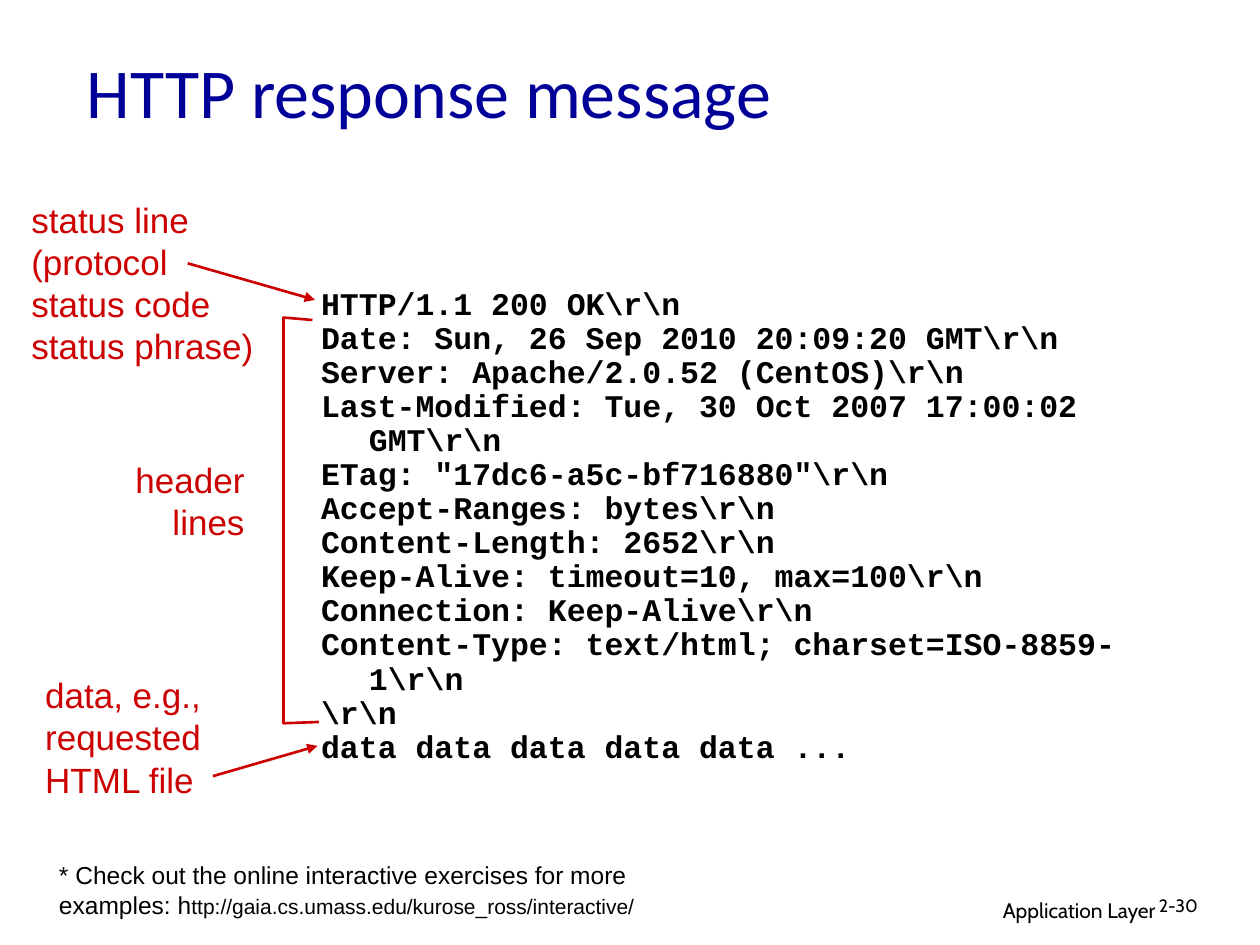
from dataclasses import dataclass
from typing import Optional

from lxml.etree import SubElement
from pptx import Presentation
from pptx.dml.color import RGBColor
from pptx.enum.shapes import MSO_CONNECTOR as Connector
from pptx.enum.text import MSO_ANCHOR as Anchor, MSO_AUTO_SIZE as AutoSize, PP_ALIGN as Align
from pptx.oxml.ns import qn
from pptx.util import Emu, Pt

PX = 9144  # EMU per px, at 100 px to the inch


@dataclass(frozen=True)
class Theme:
    title: RGBColor = RGBColor(0x00, 0x00, 0x99)
    note: RGBColor = RGBColor(0xCC, 0x00, 0x00)
    ink: RGBColor = RGBColor(0x00, 0x00, 0x00)
    title_size: float = 40
    note_size: float = 20
    code_size: float = 18
    remark_size: float = 14
    small_size: float = 12
    number_size: float = 10.2
    line_width: float = 1.5


THEME = Theme()


@dataclass(frozen=True)
class Style:
    font: str
    size: float
    color: RGBColor
    bold: bool = False
    align: Align = Align.LEFT
    line_spacing: Optional[float] = None
    hanging: int = 0


TITLE = Style("Calibri", THEME.title_size, THEME.title)
NOTE = Style("Arial", THEME.note_size, THEME.note)
NOTE_RIGHT = Style("Arial", THEME.note_size, THEME.note, align=Align.RIGHT)
CODE = Style("Courier New", THEME.code_size, THEME.ink, bold=True, line_spacing=0.9, hanging=38)
REMARK = Style("Arial", THEME.remark_size, THEME.ink)
LINK = Style("Arial", THEME.small_size, THEME.ink)
FOOTER = Style("Cabin", THEME.small_size, THEME.ink, align=Align.RIGHT)
NUMBER = Style("Cabin", THEME.number_size, THEME.ink, line_spacing=0.9)


@dataclass(frozen=True)
class TextBlock:
    left: int
    top: int
    width: int
    height: int
    style: Style
    lines: tuple[str, ...]
    wrap: bool = True
    anchor: Anchor = Anchor.TOP


@dataclass(frozen=True)
class Arrow:
    start: tuple[int, int]
    end: tuple[int, int]


RESPONSE = (
    r"HTTP/1.1 200 OK\r\n",
    r"Date: Sun, 26 Sep 2010 20:09:20 GMT\r\n",
    r"Server: Apache/2.0.52 (CentOS)\r\n",
    r"Last-Modified: Tue, 30 Oct 2007 17:00:02 GMT\r\n",
    r'ETag: "17dc6-a5c-bf716880"\r\n',
    r"Accept-Ranges: bytes\r\n",
    r"Content-Length: 2652\r\n",
    r"Keep-Alive: timeout=10, max=100\r\n",
    r"Connection: Keep-Alive\r\n",
    r"Content-Type: text/html; charset=ISO-8859-1\r\n",
    r"\r\n",
    "data data data data data ...",
)

BLOCKS = (
    TextBlock(610, 707, 317, 31, FOOTER, ("Application Layer",)),
    TextBlock(910, 707, 74, 30, NUMBER, ("2-30",)),
    TextBlock(59, 18, 850, 107, TITLE, ("HTTP response message",), anchor=Anchor.MIDDLE),
    TextBlock(15, 153, 198, 144, NOTE,
              ("status line", "(protocol", "status code", "status phrase)"), wrap=False),
    TextBlock(96, 359, 108, 77, NOTE_RIGHT, ("header", "lines"), wrap=False),
    TextBlock(26, 530, 151, 110, NOTE, ("data, e.g.,", "requested", "HTML file"), wrap=False),
    TextBlock(245, 224, 690, 388, CODE, RESPONSE),
)
REMARK_BLOCK = TextBlock(
    37, 678, 493, 57, REMARK,
    ("* Check out the online interactive exercises for more examples: h",))
REMARK_LINK = "ttp://gaia.cs.umass.edu/kurose_ross/interactive/"

ARROWS = (Arrow((149, 209), (250, 238)), Arrow((169, 616), (252, 592)))
HEADER_BRACKET = ((248, 254), (225, 252), (225, 574), (253, 573))


def px(value: int) -> Emu:
    return Emu(value * PX)


def add_run(paragraph, text: str, style: Style) -> None:
    run = paragraph.add_run()
    run.text = text
    run.font.name = style.font
    run.font.size = Pt(style.size)
    run.font.bold = style.bold
    run.font.color.rgb = style.color


def add_text(slide, block: TextBlock):
    shape = slide.shapes.add_textbox(
        px(block.left), px(block.top), px(block.width), px(block.height))
    frame = shape.text_frame
    frame.word_wrap = block.wrap
    # Unwrapped labels keep each line whole by growing with their text
    frame.auto_size = AutoSize.NONE if block.wrap else AutoSize.SHAPE_TO_FIT_TEXT
    frame.vertical_anchor = block.anchor
    style = block.style
    for index, line in enumerate(block.lines):
        paragraph = frame.paragraphs[0] if index == 0 else frame.add_paragraph()
        paragraph.alignment = style.align
        if style.line_spacing:
            paragraph.line_spacing = style.line_spacing
        if style.hanging:
            properties = paragraph._p.get_or_add_pPr()
            properties.set("marL", str(px(style.hanging)))
            properties.set("indent", str(-px(style.hanging)))
        add_run(paragraph, line, style)
    return shape


def style_line(line) -> None:
    line.color.rgb = THEME.note
    line.width = Pt(THEME.line_width)


def add_arrow(slide, arrow: Arrow) -> None:
    connector = slide.shapes.add_connector(
        Connector.STRAIGHT, *map(px, arrow.start + arrow.end))
    style_line(connector.line)
    SubElement(connector.line._get_or_add_ln(), qn("a:tailEnd"), type="triangle")
    SubElement(connector._element.spPr, qn("a:effectLst"))


def add_bracket(slide, points: tuple[tuple[int, int], ...]) -> None:
    first, *rest = [(px(x), px(y)) for x, y in points]
    builder = slide.shapes.build_freeform(*first)
    builder.add_line_segments(rest, close=False)
    shape = builder.convert_to_shape()
    shape.shadow.inherit = False
    shape.fill.background()
    style_line(shape.line)


def main() -> None:
    presentation = Presentation()
    presentation.slide_width, presentation.slide_height = px(1000), px(750)
    slide = presentation.slides.add_slide(presentation.slide_layouts[6])

    # Title, labels, message and footer
    for block in BLOCKS:
        add_text(slide, block)

    # Remark with its smaller link
    remark = add_text(slide, REMARK_BLOCK)
    add_run(remark.text_frame.paragraphs[0], REMARK_LINK, LINK)

    # Pointers from the labels to the message
    for arrow in ARROWS:
        add_arrow(slide, arrow)
    add_bracket(slide, HEADER_BRACKET)

    presentation.save("out.pptx")


if __name__ == "__main__":
    main()
